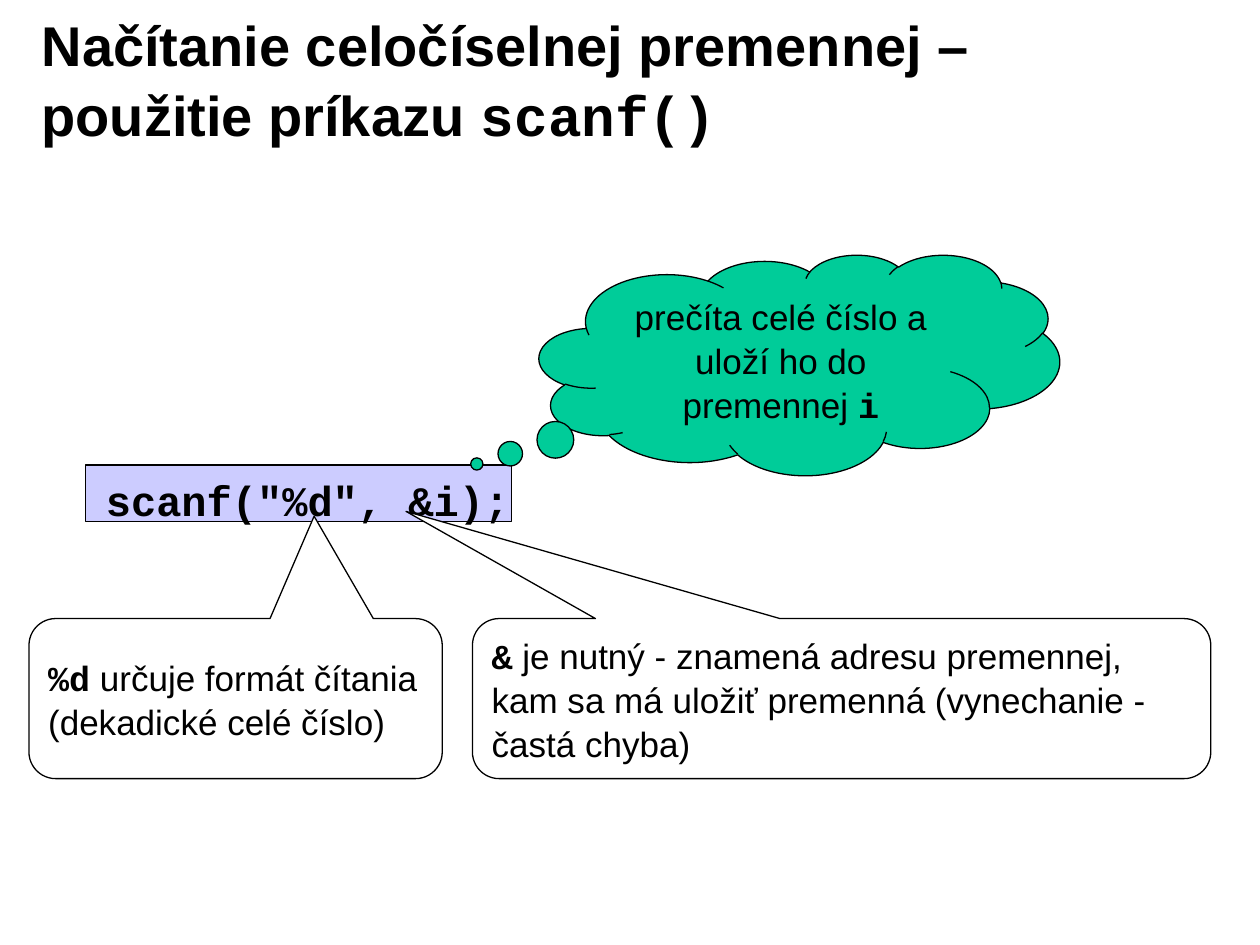
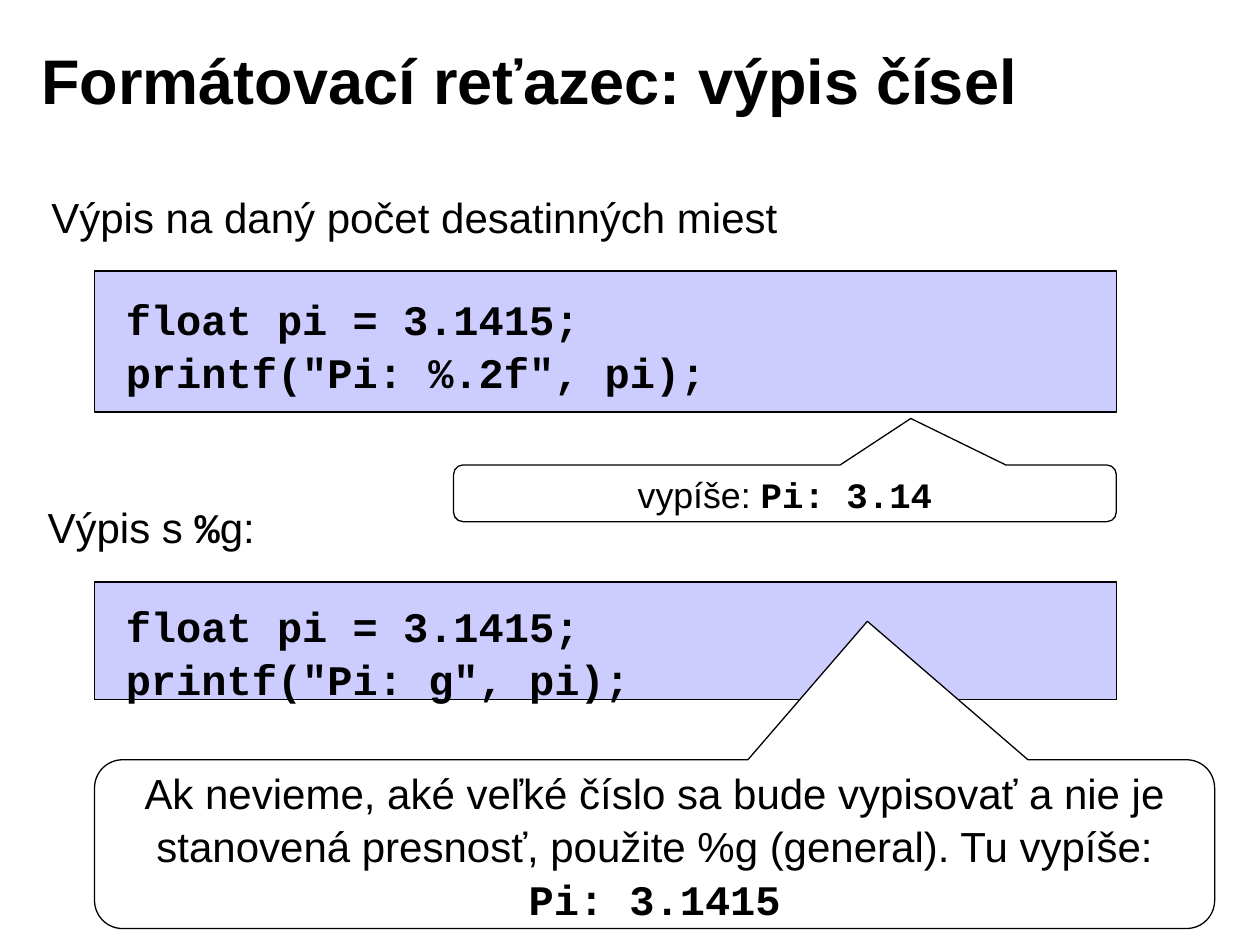
import pptx
import pptx.util
import pptx.dml.color
from pptx.enum.shapes import MSO_SHAPE
from pptx.enum.text import MSO_ANCHOR, MSO_AUTO_SIZE, PP_ALIGN

# Shared style
EMU_PER_PX = 9144  # 100 px to the inch
BLACK, WHITE, CODE_FILL, CLOUD_FILL = "000000", "FFFFFF", "CCCCFF", "00CC99"
SANS, MONO = "Arial", "Courier New"
LINE_SPACING = 1.05
TITLE_BOX = (23, 15, 803, 93)
CLOUD, BUBBLE = MSO_SHAPE.CLOUD_CALLOUT, MSO_SHAPE.ROUNDED_RECTANGULAR_CALLOUT
LEFT, CENTER = PP_ALIGN.LEFT, PP_ALIGN.CENTER

# Content: a paragraph is a list of (text, font) runs; Courier New is always bold
SLIDES = [
    {
        "title": [("Načítanie celočíselnej premennej – použitie príkazu ", SANS), ("scanf()", MONO)],
        "title_size": 32,
        "labels": [],
        "code": [
            {"panel": (68, 369, 338, 45), "box": (75, 370, 378, 49), "inset": 9,
             "lines": ['scanf("%d", &i);']},
        ],
        "callouts": [
            {"kind": CLOUD, "box": (428, 202, 413, 175), "tip": (-0.62, 0.45), "fill": CLOUD_FILL,
             "size": 20, "align": CENTER,
             "runs": [("prečíta celé číslo a uloží ho do premennej ", SANS), ("i", MONO)]},
            {"kind": BUBBLE, "box": (23, 491, 328, 127), "tip": (0.19, -1.14), "fill": WHITE,
             "size": 20, "align": LEFT,
             "runs": [("%d", MONO), (" určuje formát čítania (dekadické celé číslo)", SANS)]},
            {"kind": BUBBLE, "box": (375, 491, 586, 127), "tip": (-0.59, -1.17), "fill": WHITE,
             "size": 20, "align": LEFT,
             "runs": [("&", MONO), (" je nutný - znamená adresu premennej, kam sa má uložiť "
                                    "premenná (vynechanie - častá chyba)", SANS)]},
        ],
    },
    {
        "title": [("Formátovací reťazec: výpis čísel", SANS)],
        "title_size": 36,
        "labels": [
            {"box": (31, 145, 596, 50), "runs": [("Výpis na daný počet desatinných miest", SANS)]},
            {"box": (28, 391, 184, 50), "runs": [("Výpis s ", SANS), ("%", MONO), ("g:", SANS)]},
        ],
        "code": [
            {"panel": (75, 215, 811, 112), "box": (90, 226, 774, 90), "inset": 10,
             "lines": ["float pi = 3.1415;", 'printf("Pi: %.2f", pi);']},
            {"panel": (75, 462, 811, 93), "box": (90, 470, 774, 90), "inset": 10,
             "lines": ["float pi = 3.1415;", 'printf("Pi: g", pi);']},
        ],
        "callouts": [
            {"kind": BUBBLE, "box": (360, 369, 526, 45), "tip": (0.19, -1.32), "fill": WHITE,
             "size": 20.4, "align": CENTER,
             "runs": [("vypíše: ", SANS), ("Pi: 3.14", MONO)]},
            {"kind": BUBBLE, "box": (75, 603, 889, 134), "tip": (0.19, -1.32), "fill": WHITE,
             "size": 24, "align": CENTER,
             "runs": [("Ak nevieme, aké veľké číslo sa bude vypisovať a nie je stanovená presnosť, "
                       "použite %g (general). Tu vypíše: ", SANS), ("Pi: 3.1415", MONO)]},
        ],
    },
]


def px(*lengths):
    return [pptx.util.Emu(length * EMU_PER_PX) for length in lengths]


def color(hex_value):
    return pptx.dml.color.RGBColor.from_string(hex_value)


def write(shape, paragraphs, size, align=LEFT, anchor=MSO_ANCHOR.TOP, inset=10, wrap=True, bold=False):
    frame = shape.text_frame
    frame.auto_size = MSO_AUTO_SIZE.NONE
    frame.word_wrap = wrap
    frame.vertical_anchor = anchor
    frame.margin_left, frame.margin_right = px(inset, inset)
    frame.margin_top, frame.margin_bottom = px(5, 5)
    for index, runs in enumerate(paragraphs):
        paragraph = frame.add_paragraph() if index else frame.paragraphs[0]
        paragraph.alignment = align
        paragraph.line_spacing = LINE_SPACING
        paragraph.font.size = pptx.util.Pt(size)
        paragraph.font.color.rgb = color(BLACK)
        for text, font_name in runs:
            run = paragraph.add_run()
            run.text = text
            run.font.name = font_name
            run.font.bold = bold or font_name == MONO


def add_outlined(shapes, kind, box, fill):
    shape = shapes.add_shape(kind, *px(*box))
    shape.shadow.inherit = False
    shape.fill.solid()
    shape.fill.fore_color.rgb = color(fill)
    shape.line.color.rgb = color(BLACK)
    shape.line.width = pptx.util.Pt(0.75)
    return shape


def add_title(slide, runs, size):
    title = slide.shapes.title
    title.left, title.top, title.width, title.height = px(*TITLE_BOX)
    write(title, [runs], size, anchor=MSO_ANCHOR.MIDDLE, bold=True)


def add_code(slide, code):
    group = slide.shapes.add_group_shape()
    add_outlined(group.shapes, MSO_SHAPE.RECTANGLE, code["panel"], CODE_FILL)
    listing = group.shapes.add_textbox(*px(*code["box"]))
    write(listing, [[(line, MONO)] for line in code["lines"]], 24, inset=code["inset"])


def add_label(slide, label):
    textbox = slide.shapes.add_textbox(*px(*label["box"]))
    write(textbox, [label["runs"]], 24, wrap=False)


def add_callout(slide, callout):
    shape = add_outlined(slide.shapes, callout["kind"], callout["box"], callout["fill"])
    shape.adjustments[0], shape.adjustments[1] = callout["tip"]
    write(shape, [callout["runs"]], callout["size"], callout["align"], MSO_ANCHOR.MIDDLE, inset=9)


def main():
    presentation = pptx.Presentation()
    presentation.slide_width, presentation.slide_height = px(1000, 750)
    title_only = presentation.slide_layouts[5]
    for content in SLIDES:
        slide = presentation.slides.add_slide(title_only)
        add_title(slide, content["title"], content["title_size"])
        for code in content["code"]:
            add_code(slide, code)
        for label in content["labels"]:
            add_label(slide, label)
        for callout in content["callouts"]:
            add_callout(slide, callout)
    presentation.save("out.pptx")


if __name__ == "__main__":
    main()
